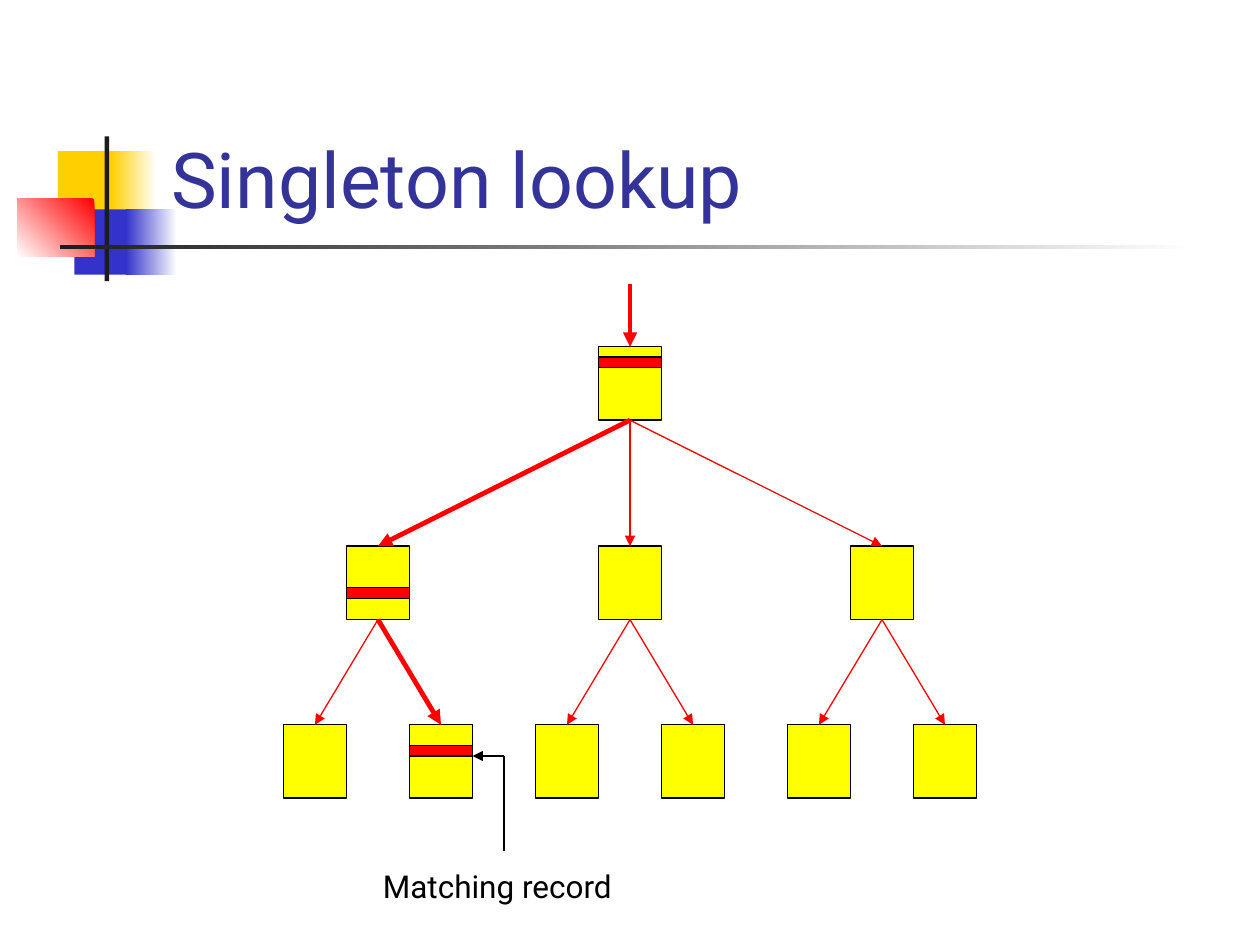
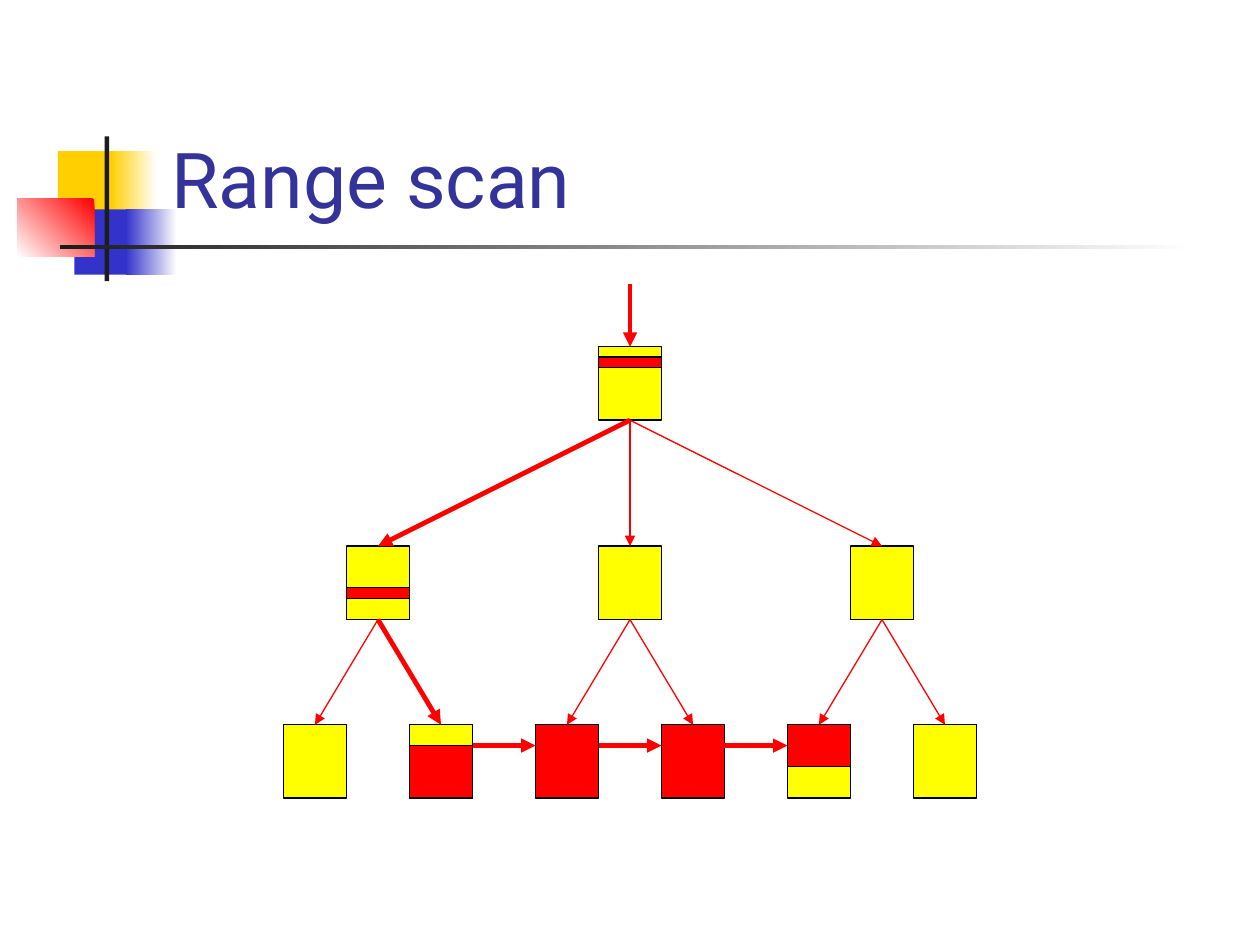
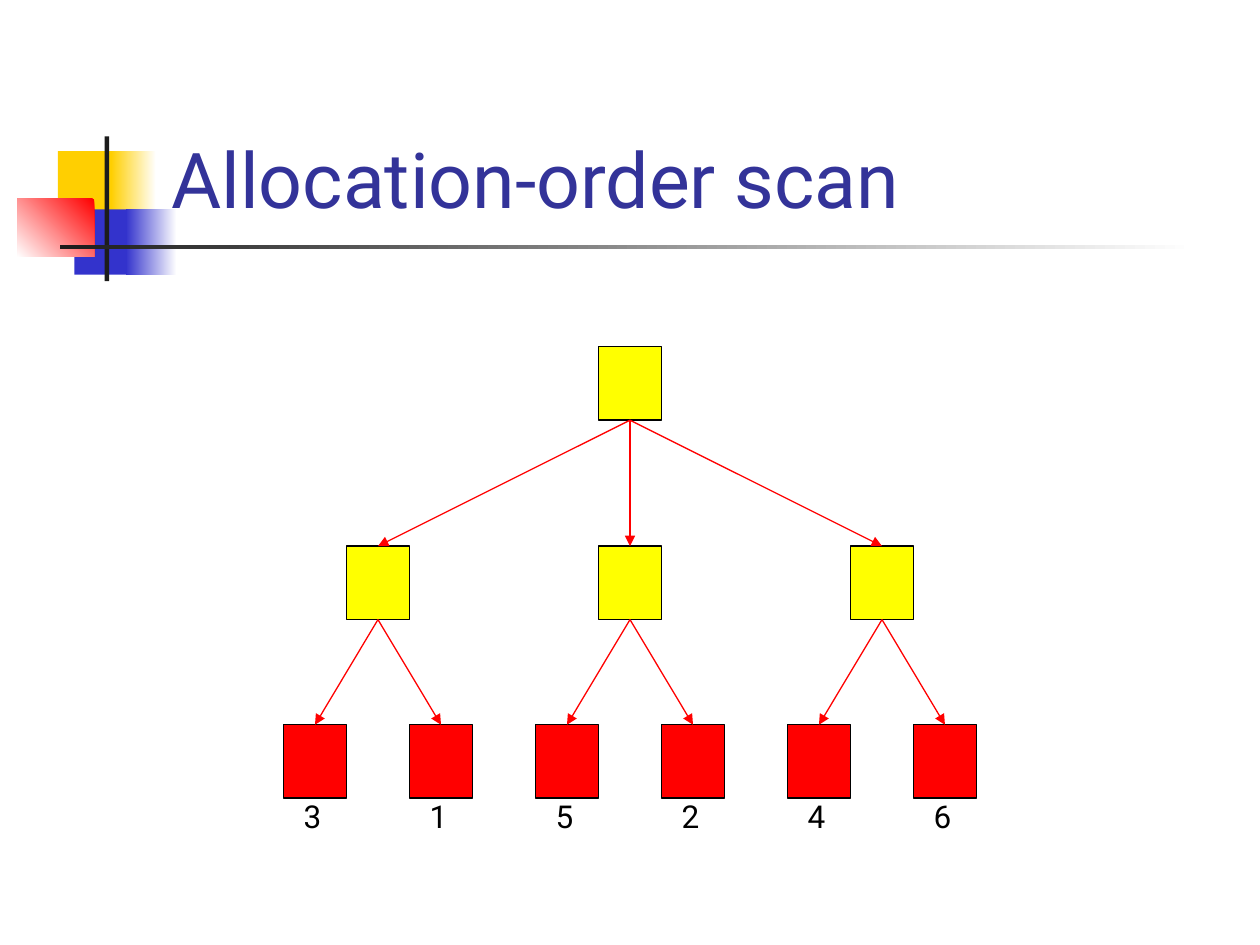
from lxml import etree
from pptx import Presentation
from pptx import util as u
from pptx.dml import color as dml
from pptx.enum import shapes, text
from pptx.oxml import ns

FONT = "Roboto"
WHITE, BLACK, YELLOW, RED = "FFFFFF", "000000", "FFFF00", "FF0000"
GOLD, BLUE, CHARCOAL, NAVY = "FFCF01", "3333CC", "1C1C1C", "333399"
THIN, THICK = 0.75, 2.75


def rgb(hex_code):
    return dml.RGBColor.from_string(hex_code)


def write(frame, words, size, hex_code):
    paragraph = frame.paragraphs[0]
    paragraph.alignment = text.PP_ALIGN.LEFT
    run = paragraph.add_run()
    run.text = words
    run.font.name = FONT
    run.font.size = u.Pt(size)
    run.font.color.rgb = rgb(hex_code)


page_width, page_height, band = 1.27, 1.48, 0.21
root_top, branch_top, leaf_top = 6.99, 11.01, 14.61
root = 12.7
branches = [root + 5.08 * i for i in (-1, 0, 1)]
leaves = [6.35 + 2.54 * i for i in range(6)]
scan_y = leaf_top + 2 * band

edges = [(root, root_top + page_height, branch, branch_top) for branch in branches]
edges += [(branches[i // 2], branch_top + page_height, leaf, leaf_top)
          for i, leaf in enumerate(leaves)]
entry = (root, 5.72, root, root_top)
search_route = [edges[0], edges[4]]
key_bands = [(root, root_top + band, band), (branches[0], branch_top + 4 * band, band)]
scan_steps = [(left + page_width / 2, scan_y, right - page_width / 2, scan_y)
              for left, right in zip(leaves[1:4], leaves[2:5])]

match_x, match_y = 10.16, 15.24
match_edge = leaves[1] + page_width / 2

topics = [
    {
        "title": "Singleton lookup",
        "leaf_colors": [YELLOW] * 6,
        "bands": key_bands + [(leaves[1], scan_y, band)],
        "route": search_route,
        "extra_arrows": [(entry, RED, THICK, True),
                         ((match_x, match_y, match_edge, match_y), BLACK, THIN, True),
                         ((match_x, match_y, match_x, 17.15), BLACK, THIN, False)],
        "labels": [("Matching record", 7.47, 17.35, 5.44)],
    },
    {
        "title": "Range scan",
        "leaf_colors": [YELLOW, YELLOW, RED, RED, YELLOW, YELLOW],
        "bands": key_bands + [(leaves[1], scan_y, page_height - 2 * band),
                              (leaves[4], leaf_top, 4 * band)],
        "route": search_route,
        "extra_arrows": [(step, RED, THICK, True) for step in [entry] + scan_steps],
        "labels": [],
    },
    {
        "title": "Allocation-order scan",
        "leaf_colors": [RED] * 6,
        "bands": [],
        "route": [],
        "extra_arrows": [],
        "labels": [(order, leaf - 0.48, 15.95, 0.86) for order, leaf in zip("315246", leaves)],
    },
]

prs = Presentation()
prs.slide_width, prs.slide_height = u.Cm(25.4), u.Cm(19.05)
layout = prs.slide_layouts[5]
slides = [prs.slides.add_slide(layout) for topic in topics]

ornaments = [
    (1.17, 3.05, 1.22, 1.32, [GOLD], None),
    (2.24, 3.05, 0.91, 1.32, [WHITE, GOLD], 180),
    (1.5, 4.22, 1.17, 1.32, [BLUE], None),
    (2.54, 4.22, 1.02, 1.32, [WHITE, BLUE], 180),
    (0.35, 4.01, 1.55, 1.17, [RED, WHITE], 225),
    (2.11, 2.75, 0.09, 2.92, [CHARCOAL], None),
    (1.22, 4.94, 22.86, 0.09, [WHITE, CHARCOAL], 180),
]
for i, (left, top, width, height, colors, angle) in enumerate(ornaments):
    ornament = slides[0].shapes.add_shape(
        shapes.MSO_SHAPE.RECTANGLE, u.Cm(left), u.Cm(top), u.Cm(width), u.Cm(height))
    ornament.shadow.inherit = False
    ornament.line.fill.background()
    if angle is None:
        ornament.fill.solid()
        ornament.fill.fore_color.rgb = rgb(colors[0])
    else:
        ornament.fill.gradient()
        ornament.fill.gradient_angle = angle
        for stop, hex_code in zip(ornament.fill.gradient_stops, colors):
            stop.color.rgb = rgb(hex_code)
    ornament.element.nvSpPr.cNvPr.id = 20 + i
    layout.shapes.element.insert(2 + i, ornament.element)

for slide, topic in zip(slides, topics):
    heading = slide.shapes.title
    heading.left, heading.top = u.Cm(3.2), u.Cm(0.58)
    heading.width, heading.height = u.Cm(21.64), u.Cm(4.06)
    heading.text_frame.vertical_anchor = text.MSO_ANCHOR.BOTTOM
    heading.text_frame.auto_size = text.MSO_AUTO_SIZE.NONE
    write(heading.text_frame, topic["title"], 44, NAVY)

    blocks = [(root, root_top, page_height, YELLOW)]
    blocks += [(branch, branch_top, page_height, YELLOW) for branch in branches]
    blocks += [(leaf, leaf_top, page_height, hex_code)
               for leaf, hex_code in zip(leaves, topic["leaf_colors"])]
    blocks += [(*spot, RED) for spot in topic["bands"]]
    for center, top, height, hex_code in blocks:
        block = slide.shapes.add_shape(
            shapes.MSO_SHAPE.RECTANGLE, u.Cm(center - page_width / 2), u.Cm(top),
            u.Cm(page_width), u.Cm(height))
        block.shadow.inherit = False
        block.fill.solid()
        block.fill.fore_color.rgb = rgb(hex_code)
        block.line.color.rgb = rgb(BLACK)
        block.line.width = u.Pt(THIN)

    arrows = [(edge, RED, THICK if edge in topic["route"] else THIN, True) for edge in edges]
    for ends, hex_code, weight, has_head in arrows + topic["extra_arrows"]:
        arrow = slide.shapes.add_connector(
            shapes.MSO_CONNECTOR.STRAIGHT, *[u.Cm(end) for end in ends])
        arrow.line.color.rgb = rgb(hex_code)
        arrow.line.width = u.Pt(weight)
        properties = arrow.element.spPr
        if has_head:
            etree.SubElement(properties.find(ns.qn("a:ln")), ns.qn("a:tailEnd"), type="triangle")
        etree.SubElement(properties, ns.qn("a:effectLst"))

    for words, left, top, width in topic["labels"]:
        label = slide.shapes.add_textbox(u.Cm(left), u.Cm(top), u.Cm(width), u.Cm(1.02))
        label.text_frame.word_wrap = False
        label.text_frame.auto_size = text.MSO_AUTO_SIZE.SHAPE_TO_FIT_TEXT
        write(label.text_frame, words, 18, BLACK)

prs.save("out.pptx")
